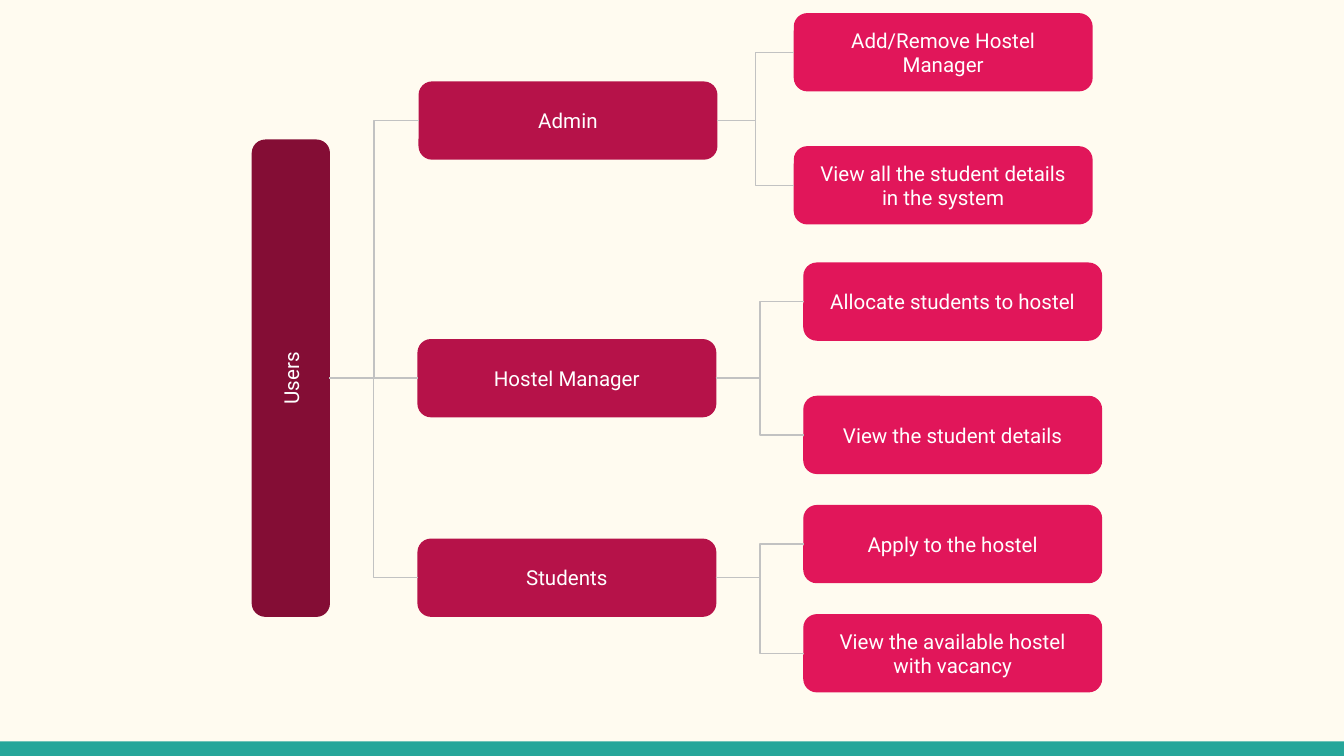
from dataclasses import dataclass

from lxml import etree
from pptx import Presentation
from pptx import util as u
from pptx.dml.color import RGBColor
from pptx.enum import shapes, text
from pptx.oxml import ns


@dataclass(frozen=True)
class Theme:
    background: str = "FFFBF0"
    band: str = "26A69A"
    root: str = "840D35"
    role: str = "B61249"
    task: str = "E1165A"
    connector: str = "C2C2C2"
    label: str = "FFFFFF"
    font: str = "Roboto"
    label_size: float = 11
    line_width: float = 0.75


class TreeSlide:
    def __init__(self, slide, theme):
        self.slide = slide
        self.theme = theme
        fill = slide.background.fill
        fill.solid()
        fill.fore_color.rgb = RGBColor.from_string(theme.background)

    def block(self, preset, left, top, width, height, color):
        shape = self.slide.shapes.add_shape(
            preset, u.Pt(left), u.Pt(top), u.Pt(width), u.Pt(height))
        shape.shadow.inherit = False
        shape.fill.solid()
        shape.fill.fore_color.rgb = RGBColor.from_string(color)
        shape.line.fill.background()
        return shape

    def band(self, top, width, height):
        return self.block(shapes.MSO_SHAPE.RECTANGLE, 0, top, width, height, self.theme.band)

    def node(self, label, left, top, width, height, color, rotation=0):
        shape = self.block(
            shapes.MSO_SHAPE.ROUNDED_RECTANGLE, left, top, width, height, color)
        shape.adjustments[0] = 0.167
        shape.rotation = rotation
        shape.line.color.rgb = RGBColor.from_string(color)
        shape.line.width = u.Pt(self.theme.line_width)

        frame = shape.text_frame
        frame.word_wrap = True
        frame.vertical_anchor = text.MSO_ANCHOR.MIDDLE
        frame.margin_left = frame.margin_right = u.Pt(7.2)
        frame.margin_top = frame.margin_bottom = u.Pt(7.2)
        frame.text = label
        paragraph = frame.paragraphs[0]
        paragraph.alignment = text.PP_ALIGN.CENTER
        font = paragraph.runs[0].font
        font.name = self.theme.font
        font.size = u.Pt(self.theme.label_size)
        font.color.rgb = RGBColor.from_string(self.theme.label)
        return shape

    def branch(self, start, child, parent=None):
        """Elbow from a start point to the left side of the child."""
        connector = self.slide.shapes.add_connector(
            shapes.MSO_CONNECTOR.ELBOW, *start, child.left, child.top + child.height // 2)
        if parent is not None:
            connector.begin_connect(parent, 3)
        connector.end_connect(child, 1)
        connector.line.color.rgb = RGBColor.from_string(self.theme.connector)
        connector.line.width = u.Pt(self.theme.line_width)
        etree.SubElement(connector._element.spPr, ns.qn("a:effectLst"))


NODE_WIDTH, NODE_HEIGHT = 159.4, 41.2
ROOT_LENGTH = 255
ROOT_CENTER_X, ROOT_CENTER_Y = 155.8, 202.6

# Role, its left and top, left of its tasks, then each task and its top
ROLES = [
    ("Admin", 224.6, 44, 425.6, [
        ("Add/Remove Hostel Manager", 7.4),
        ("View all the student details in the system", 78.7)]),
    ("Hostel Manager", 224, 182, 430.7, [
        ("Allocate students to hostel", 141),
        ("View the student details", 212.4)]),
    ("Students", 224, 288.9, 430.7, [
        ("Apply to the hostel", 270.9),
        ("View the available hostel with vacancy", 329.4)]),
]


def main():
    presentation = Presentation()
    presentation.slide_width, presentation.slide_height = u.Pt(720), u.Pt(405)
    theme = Theme()
    tree = TreeSlide(presentation.slides.add_slide(presentation.slide_layouts[6]), theme)

    # Bottom band
    tree.band(397.2, 720, 7.8)

    # Root, turned to read upwards
    tree.node("Users", ROOT_CENTER_X - ROOT_LENGTH / 2, ROOT_CENTER_Y - NODE_HEIGHT / 2,
              ROOT_LENGTH, NODE_HEIGHT, theme.root, rotation=270)
    root_exit = u.Pt(ROOT_CENTER_X + NODE_HEIGHT / 2), u.Pt(ROOT_CENTER_Y)

    # Roles with their tasks
    for role_label, left, top, task_left, tasks in ROLES:
        role = tree.node(role_label, left, top, NODE_WIDTH, NODE_HEIGHT, theme.role)
        tree.branch(root_exit, role)
        role_exit = role.left + role.width, role.top + role.height // 2
        for task_label, task_top in tasks:
            task = tree.node(
                task_label, task_left, task_top, NODE_WIDTH, NODE_HEIGHT, theme.task)
            tree.branch(role_exit, task, parent=role)

    presentation.save("out.pptx")


if __name__ == "__main__":
    main()
